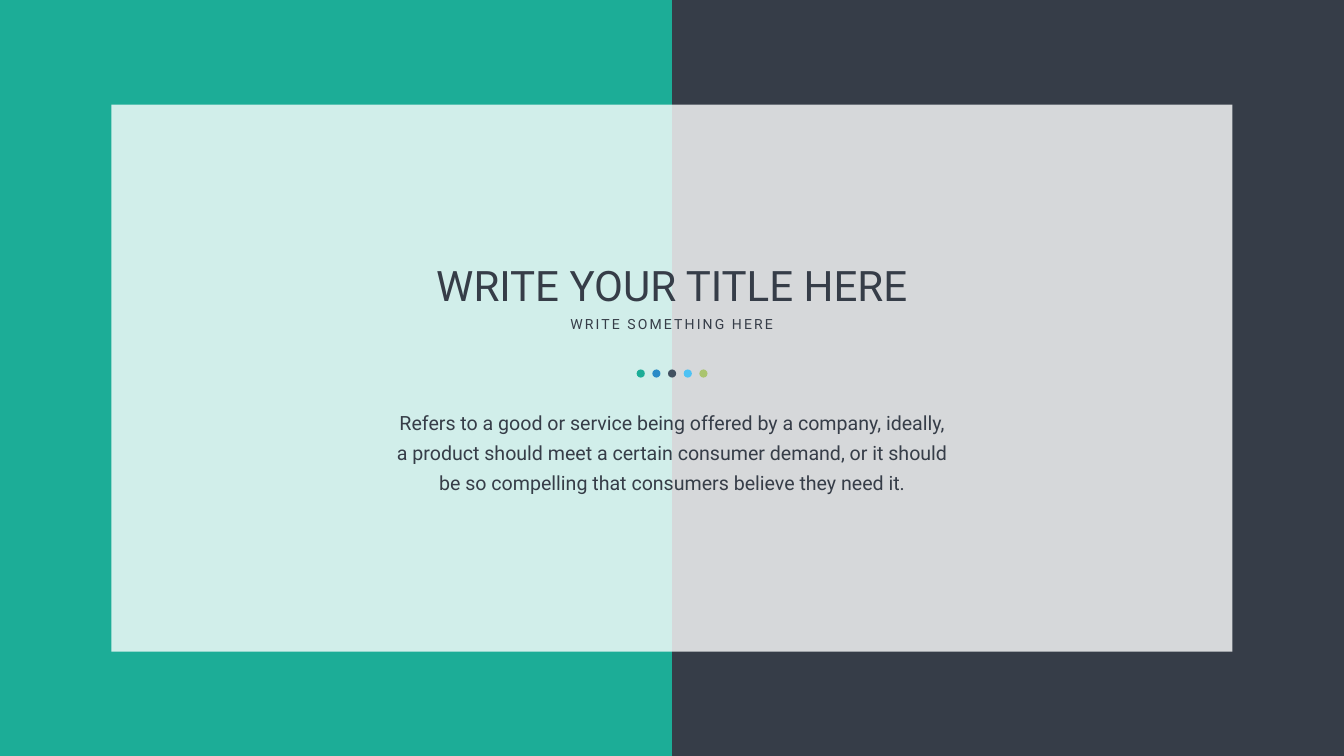
from dataclasses import dataclass

import pptx
import pptx.dml.color
import pptx.enum.shapes
import pptx.enum.text
import pptx.oxml.ns
import pptx.slide
import pptx.util
from lxml import etree

Cm = pptx.util.Cm
Kind = pptx.enum.shapes.MSO_SHAPE

FONT = "Roboto"
COLOURS = {
    "slate": "363D48",
    "teal": "1CAD97",
    "white": "FFFFFF",
    "blue": "2B8BC7",
    "grey": "425060",
    "sky": "4EC2F4",
    "green": "AAC46F",
}
PAGE_WIDTH, PAGE_HEIGHT = 67.72, 38.1
DOT_COLOURS = ("teal", "blue", "grey", "sky", "green")
DOT_LEFT, DOT_TOP, DOT_SIZE, DOT_STEP = 32.08, 18.62, 0.41, 0.79


@dataclass(frozen=True)
class Area:
    left: float
    top: float
    width: float
    height: float

    def lengths(self) -> list[int]:
        return [Cm(side) for side in (self.left, self.top, self.width, self.height)]


@dataclass(frozen=True)
class Panel:
    area: Area
    colour: str
    kind: int = Kind.RECTANGLE
    opacity: int = 100


@dataclass(frozen=True)
class Caption:
    area: Area
    words: str
    size: int
    wrap: bool = True
    tracking: int = 0
    line_height: int = 0
    side_inset: float = 0.25
    end_inset: float = 0.13


PANELS = [
    Panel(Area(0, 0, PAGE_WIDTH / 2, PAGE_HEIGHT), "teal"),
    Panel(Area(5.61, 5.28, 56.49, 27.56), "white", opacity=80),
]
DOTS = [
    Panel(Area(DOT_LEFT + index * DOT_STEP, DOT_TOP, DOT_SIZE, DOT_SIZE), colour, Kind.OVAL)
    for index, colour in enumerate(DOT_COLOURS)
]
CAPTIONS = [
    Caption(Area(19.56, 12.95, 28.58, 2.82), "WRITE YOUR TITLE HERE", 60),
    Caption(Area(28.32, 15.77, 11.05, 1.12), "WRITE SOMETHING HERE", 20, wrap=False, tracking=3),
    Caption(
        Area(19.23, 20.07, 29.26, 5.08),
        "Refers to a good or service being offered by a company, ideally, "
        "a product should meet a certain consumer demand, or it should "
        "be so compelling that consumers believe they need it.",
        28,
        line_height=43,
        side_inset=0.61,
        end_inset=0.3,
    ),
]


def colour_of(name: str) -> pptx.dml.color.RGBColor:
    return pptx.dml.color.RGBColor.from_string(COLOURS[name])


def draw_panel(page: pptx.slide.Slide, panel: Panel) -> None:
    shape = page.shapes.add_shape(panel.kind, *panel.area.lengths())
    shape.shadow.inherit = False
    shape.line.fill.background()
    shape.fill.solid()
    shape.fill.fore_color.rgb = colour_of(panel.colour)
    if panel.opacity < 100:
        tone = shape.fill._xPr.find(".//" + pptx.oxml.ns.qn("a:srgbClr"))
        alpha = etree.SubElement(tone, pptx.oxml.ns.qn("a:alpha"))
        alpha.set("val", str(panel.opacity * 1000))


def draw_caption(page: pptx.slide.Slide, caption: Caption) -> None:
    box = page.shapes.add_textbox(*caption.area.lengths())
    frame = box.text_frame
    frame.word_wrap = caption.wrap
    frame.auto_size = pptx.enum.text.MSO_AUTO_SIZE.SHAPE_TO_FIT_TEXT
    frame.margin_left = frame.margin_right = Cm(caption.side_inset)
    frame.margin_top = frame.margin_bottom = Cm(caption.end_inset)
    para = frame.paragraphs[0]
    para.alignment = pptx.enum.text.PP_ALIGN.CENTER
    if caption.line_height:
        para.line_spacing = pptx.util.Pt(caption.line_height)
    span = para.add_run()
    span.text = caption.words
    span.font.name = FONT
    span.font.size = pptx.util.Pt(caption.size)
    span.font.color.rgb = colour_of("slate")
    if caption.tracking:
        span.font._element.set("spc", str(caption.tracking * 100))


def main() -> None:
    deck = pptx.Presentation()
    deck.slide_width = Cm(PAGE_WIDTH)
    deck.slide_height = Cm(PAGE_HEIGHT)
    page = deck.slides.add_slide(deck.slide_layouts[6])
    page.background.fill.solid()
    page.background.fill.fore_color.rgb = colour_of("slate")
    for panel in PANELS + DOTS:
        draw_panel(page, panel)
    for caption in CAPTIONS:
        draw_caption(page, caption)
    deck.save("out.pptx")


if __name__ == "__main__":
    main()
